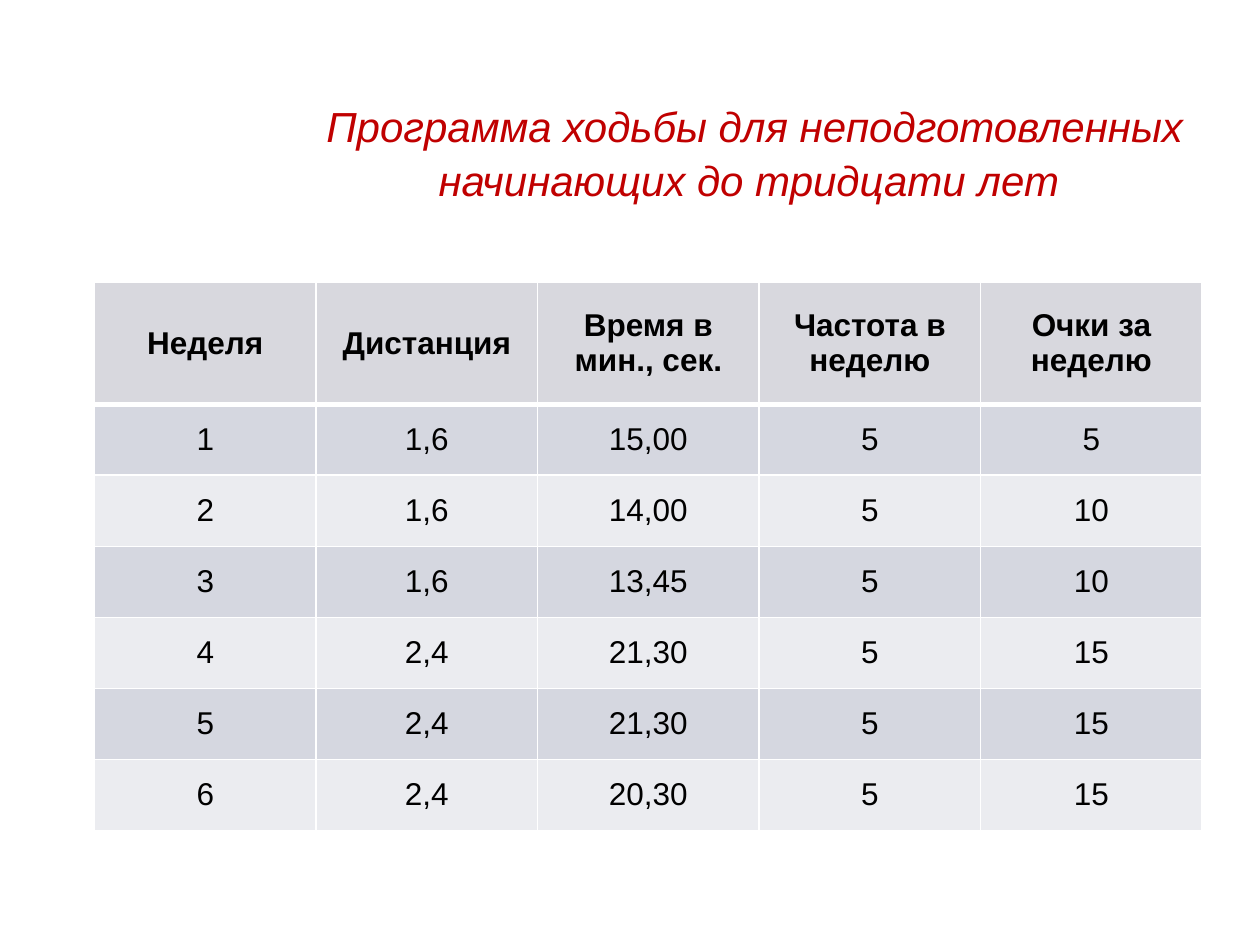
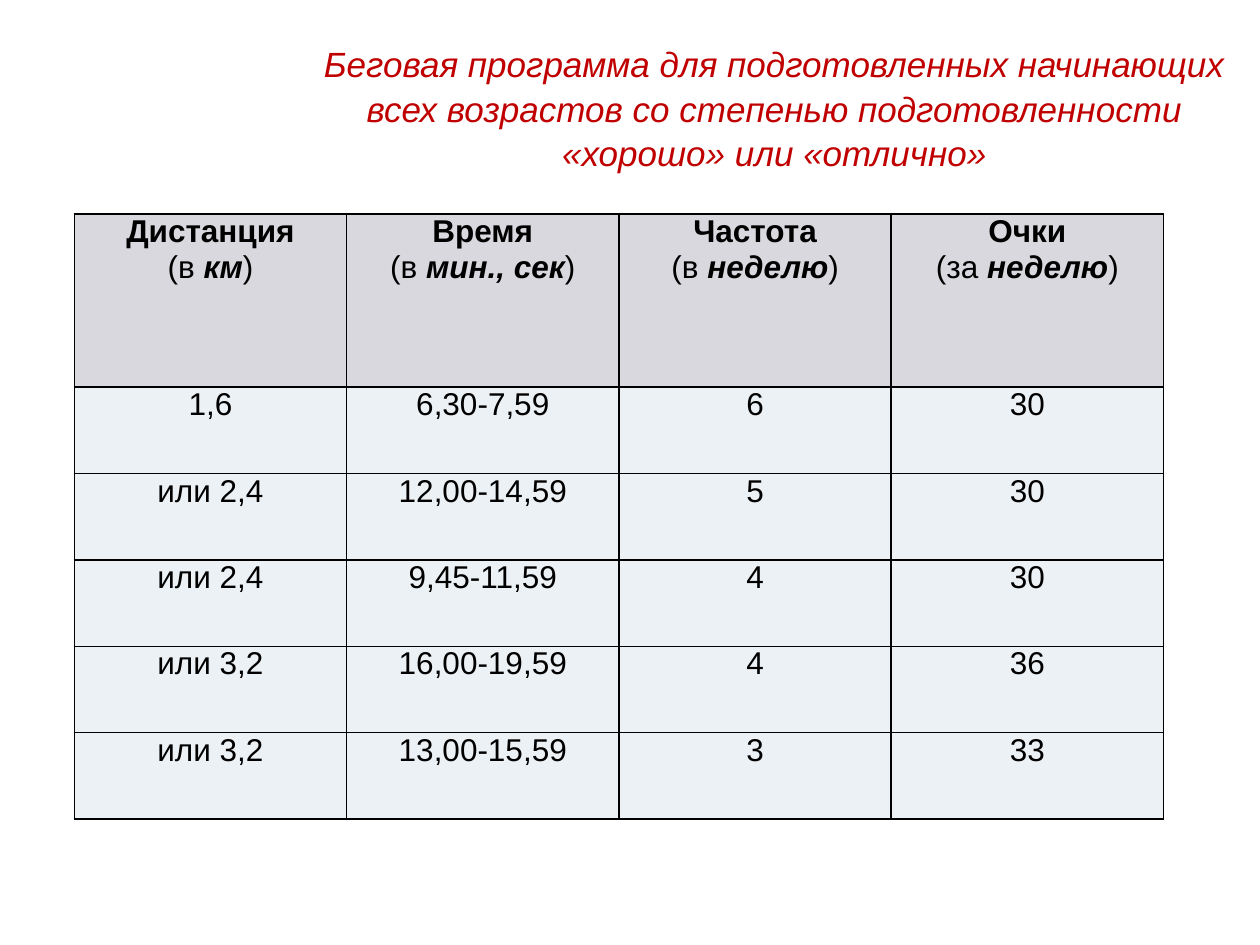
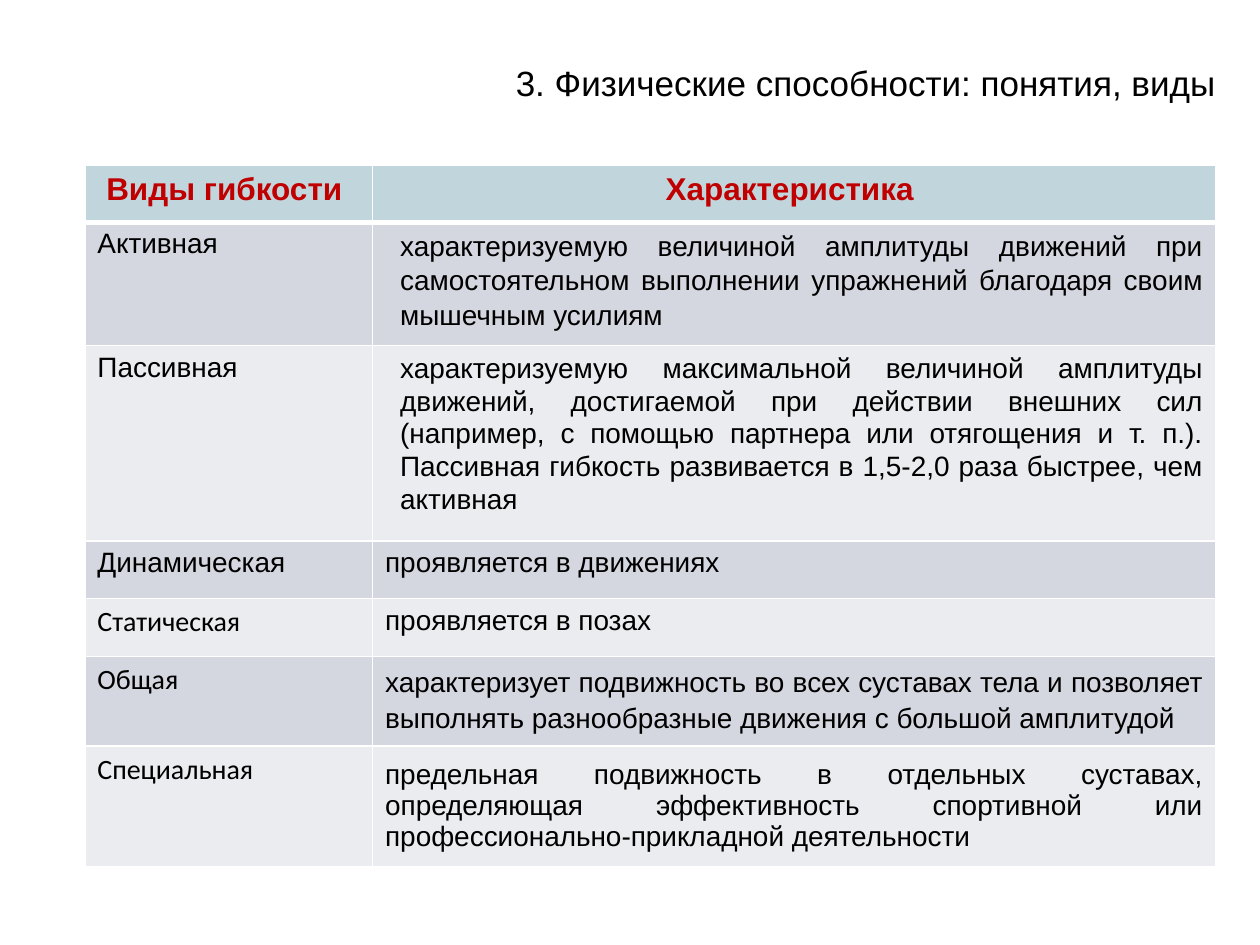
from dataclasses import dataclass

from lxml import etree
from pptx import Presentation
from pptx.dml.color import RGBColor
from pptx.enum.text import MSO_ANCHOR, PP_ALIGN
from pptx.oxml.ns import qn
from pptx.util import Pt

LEFT, CENTER, RIGHT, JUSTIFY = PP_ALIGN.LEFT, PP_ALIGN.CENTER, PP_ALIGN.RIGHT, PP_ALIGN.JUSTIFY
TOP, MIDDLE = MSO_ANCHOR.TOP, MSO_ANCHOR.MIDDLE


@dataclass(frozen=True)
class Theme:
    font: str = "Arial"
    label_font: str = "Calibri"
    ink: str = "000000"
    accent: str = "C00000"
    white: str = "FFFFFF"
    header: str = "D8D8DE"
    header_blue: str = "C0D6DC"
    bands: tuple = ("D5D7E0", "EBECF0")
    plain: tuple = ("ECF1F5",)
    title_large: int = 24
    title: int = 20
    table: int = 18
    body: int = 16
    title_spacing: float = 1.06


THEME = Theme()

WALKING = {
    "title": dict(text="Программа ходьбы для неподготовленных начинающих до тридцати лет ",
                  box=(178.5, 49, 505.5, 75), size=THEME.title_large,
                  color=THEME.accent, italic=True, align=CENTER),
    "header": ["Неделя", "Дистанция", "Время в мин., сек.", "Частота в неделю", "Очки за неделю"],
    "rows": [
        ("1", "1,6", "15,00", "5", "5"),
        ("2", "1,6", "14,00", "5", "10"),
        ("3", "1,6", "13,45", "5", "10"),
        ("4", "2,4", "21,30", "5", "15"),
        ("5", "2,4", "21,30", "5", "15"),
        ("6", "2,4", "20,30", "5", "15"),
    ],
    "origin": (54, 161.5),
    "widths": [126.6] * 5,
    "heights": [69.5] + [40.6] * 6,
    "look": dict(header_fill=THEME.header, bands=THEME.bands, border=THEME.white, header_rule=3),
    "cell": dict(vertical_anchor=MIDDLE),
}

RUNNING_COLUMNS = [("Дистанция", "в", "км"), ("Время", "в", "мин., сек"),
                   ("Частота", "в", "неделю"), ("Очки", "за", "неделю")]

RUNNING = {
    "title": dict(text="Беговая программа для подготовленных начинающих всех возрастов "
                       "со степенью подготовленности «хорошо» или «отлично»",
                  box=(173, 21, 539, 80.5), size=THEME.title,
                  color=THEME.accent, italic=True, align=CENTER),
    "header": [
        [[(name, {})],
         [(f"({preposition}", dict(bold=False)), (f" {unit}", dict(italic=True)), (")", dict(bold=False))]]
        for name, preposition, unit in RUNNING_COLUMNS
    ],
    "rows": [
        ("1,6", "6,30-7,59", "6", "30"),
        ("или 2,4", "12,00-14,59", "5", "30"),
        ("или 2,4", "9,45-11,59", "4", "30"),
        ("или 3,2", "16,00-19,59", "4", "36"),
        ("или 3,2", "13,00-15,59", "3", "33"),
    ],
    "origin": (42.5, 122.4),
    "widths": [155.6] * 4,
    "heights": [98.8] + [49.4] * 5,
    "look": dict(header_fill=THEME.header, bands=THEME.plain, border=THEME.ink, header_rule=1),
    "cell": dict(vertical_anchor=TOP, margin_left=Pt(5), margin_right=Pt(5),
                 margin_top=0, margin_bottom=0),
}

FLEXIBILITY = {
    "title": dict(text="3. Физические способности: понятия, виды",
                  box=(241, 24.5, 461, 44), size=THEME.title,
                  color=THEME.ink, italic=False, align=RIGHT),
    "header": ["Виды гибкости ", "Характеристика "],
    "rows": [
        ("Активная",
         "характеризуемую величиной амплитуды движений при самостоятельном выполнении "
         "упражнений благодаря своим мышечным усилиям"),
        ("Пассивная",
         "характеризуемую максимальной величиной амплитуды движений, достигаемой при действии "
         "внешних сил (например, с помощью партнера или отягощения и т. п.).\n"
         "Пассивная гибкость развивается в 1,5-2,0 раза быстрее, чем активная"),
        ("Динамическая", "проявляется в движениях"),
        ("Статическая", "проявляется в позах"),
        ("Общая",
         "характеризует подвижность во всех суставах тела и позволяет выполнять "
         "разнообразные движения с большой амплитудой"),
        ("Специальная",
         "предельная подвижность в отдельных суставах, определяющая эффективность спортивной "
         "или профессионально-прикладной деятельности"),
    ],
    "origin": (48.5, 94.5),
    "widths": [164.4, 481.8],
    "heights": [32.5, 65.8, 111.6, 33, 33, 48, 66],
    "look": dict(header_fill=THEME.header_blue, bands=THEME.bands, border=THEME.white, header_rule=3,
                 header_color=THEME.accent, size=THEME.body),
    "cell": dict(vertical_anchor=TOP),
    "special": {
        (1, 1): dict(align=JUSTIFY, indent=8.6, spacing=1.1),
        (2, 1): dict(align=JUSTIFY, indent=8.6, spacing=1.05),
        (4, 0): dict(font=THEME.label_font),
        (5, 0): dict(font=THEME.label_font),
        (5, 1): dict(align=JUSTIFY, spacing=1.15),
        (6, 0): dict(font=THEME.label_font),
        (6, 1): dict(align=JUSTIFY, top=7.5),
    },
    "body_align": LEFT,
}


def apply(target, values):
    for name, value in values.items():
        setattr(target, name, value)


def write(frame, content, color, align, spacing=None, indent=0, **font):
    paragraphs = [[(content, {})]] if isinstance(content, str) else content
    for index, spans in enumerate(paragraphs):
        paragraph = frame.add_paragraph() if index else frame.paragraphs[0]
        apply(paragraph, dict(alignment=align, line_spacing=spacing))
        if indent:
            paragraph._p.get_or_add_pPr().set("marL", str(Pt(indent)))
        for text, emphasis in spans:
            for number, line in enumerate(text.split("\n")):
                if number:
                    paragraph.add_line_break()
                run = paragraph.add_run()
                run.text = line
                apply(run.font, {**font, **emphasis})
                run.font.color.rgb = RGBColor.from_string(color)


def add_title(slide, text, box, size, color, italic, align):
    frame = slide.shapes.add_textbox(*map(Pt, box)).text_frame
    apply(frame, dict(word_wrap=True, vertical_anchor=MIDDLE))
    write(frame, text, color, align, THEME.title_spacing,
          name=THEME.font, size=Pt(size), italic=italic)


def draw_borders(cell, color, widths):
    properties = cell._tc.get_or_add_tcPr()
    for side, width in widths.items():
        line = etree.SubElement(properties, qn(f"a:ln{side}"), w=str(Pt(width)))
        fill = etree.SubElement(line, qn("a:solidFill"))
        etree.SubElement(fill, qn("a:srgbClr"), val=color)


def add_program(slide, content):
    look, special = content["look"], content.get("special", {})
    rows = [content["header"], *content["rows"]]
    widths, heights = content["widths"], content["heights"]
    table = slide.shapes.add_table(
        len(rows), len(widths), *map(Pt, (*content["origin"], sum(widths), sum(heights)))).table
    apply(table, dict(first_row=False, horz_banding=False))
    for column, width in zip(table.columns, widths):
        column.width = Pt(width)
    for row, height in zip(table.rows, heights):
        row.height = Pt(height)

    for r, values in enumerate(rows):
        is_header = r == 0
        fill = look["header_fill"] if is_header else look["bands"][(r - 1) % len(look["bands"])]
        edges = dict(L=1, R=1, T=look["header_rule"] if r == 1 else 1,
                     B=look["header_rule"] if is_header else 1)
        for c, value in enumerate(values):
            cell, own = table.cell(r, c), special.get((r, c), {})
            apply(cell, content["cell"])
            if "top" in own:
                cell.margin_top = Pt(own["top"])
            draw_borders(cell, look["border"], edges)
            cell.fill.solid()
            cell.fill.fore_color.rgb = RGBColor.from_string(fill)
            write(cell.text_frame, value,
                  look.get("header_color", THEME.ink) if is_header else THEME.ink,
                  CENTER if is_header else own.get("align", content.get("body_align", CENTER)),
                  own.get("spacing"), own.get("indent", 0),
                  name=own.get("font", THEME.font), bold=is_header,
                  size=Pt(THEME.table if is_header else look.get("size", THEME.table)))


def main():
    deck = Presentation()
    apply(deck, dict(slide_width=Pt(720), slide_height=Pt(540)))
    for content in (WALKING, RUNNING, FLEXIBILITY):
        slide = deck.slides.add_slide(deck.slide_layouts[6])
        add_title(slide, **content["title"])
        add_program(slide, content)
    deck.save("out.pptx")


if __name__ == "__main__":
    main()
